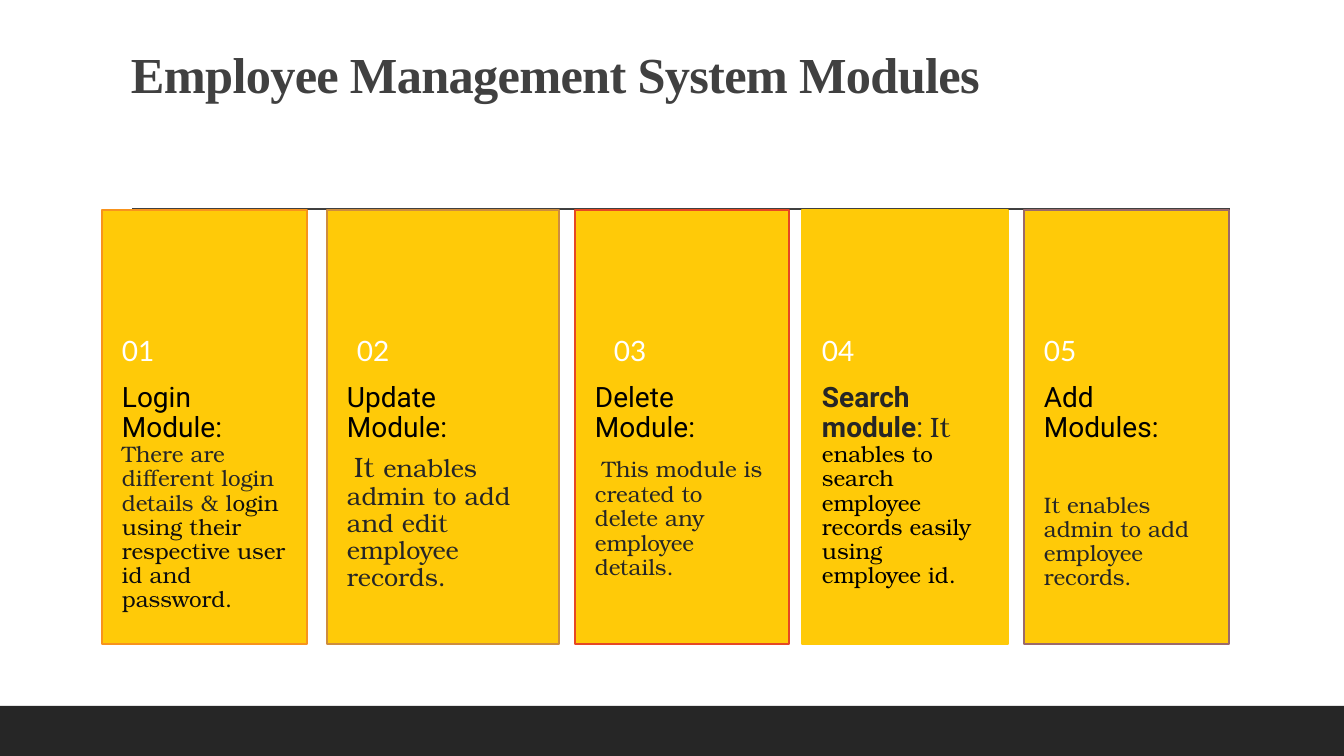
from lxml import etree
from pptx import Presentation
from pptx.dml.color import RGBColor
from pptx.enum.shapes import MSO_CONNECTOR, MSO_SHAPE
from pptx.enum.text import MSO_ANCHOR, MSO_AUTO_SIZE, PP_ALIGN
from pptx.oxml.ns import qn
from pptx.util import Emu, Pt

RECTANGLE = MSO_SHAPE.RECTANGLE
STRAIGHT = MSO_CONNECTOR.STRAIGHT
TOP, MIDDLE, BOTTOM = MSO_ANCHOR.TOP, MSO_ANCHOR.MIDDLE, MSO_ANCHOR.BOTTOM
LEFT = PP_ALIGN.LEFT
NO_AUTOFIT = MSO_AUTO_SIZE.NONE

WHITE = RGBColor(0xFF, 0xFF, 0xFF)
BLACK = RGBColor(0x00, 0x00, 0x00)
INK = RGBColor(0x0D, 0x0D, 0x0D)
CHARCOAL = RGBColor(0x26, 0x26, 0x26)
GRAY = RGBColor(0x40, 0x40, 0x40)
YELLOW = RGBColor(0xFF, 0xCA, 0x08)
ORANGE = RGBColor(0xF8, 0x93, 0x1D)
BRONZE = RGBColor(0xCE, 0x8D, 0x3E)
RED = RGBColor(0xE6, 0x48, 0x23)
MAUVE = RGBColor(0x9C, 0x6A, 0x6A)

LATO, ROBOTO, SERIF = "Lato", "Roboto", "TeX Gyre Bonum"
TITLE_FONT = "Times New Roman"

TITLE = "Employee Management System Modules"
# Each card: number, left, width, number offset, border, gap after heading (pt),
# paragraphs of (text, font, size, colour, bold)
CARDS = [
    ("01", 102, 205, 0, ORANGE, 7, [
        [("Login Module: ", ROBOTO, 20, BLACK, False),
         ("There are different login details & l", SERIF, 16, CHARCOAL, False),
         ("ogin using their respective user id and password.", SERIF, 16, INK, False)]]),
    ("02", 327, 232, 10, BRONZE, 7, [
        [("Update Module:", ROBOTO, 20, BLACK, False)],
        [(" ", LATO, 20, BLACK, False),
         ("It ", SERIF, 20, CHARCOAL, False),
         ("enables admin to add and edit employee records.", SERIF, 18, CHARCOAL, False)]]),
    ("03", 575, 214, 19, RED, 7, [
        [("Delete Module:", ROBOTO, 20, BLACK, False)],
        [(" ", TITLE_FONT, 20, BLACK, False),
         ("This module is created to delete any employee details.",
          SERIF, 16, CHARCOAL, False)]]),
    ("04", 802, 206, 0, YELLOW, 7, [
        [("Search module", ROBOTO, 20, CHARCOAL, True),
         (": ", ROBOTO, 20, CHARCOAL, False),
         ("It ", SERIF, 20, CHARCOAL, False),
         ("enables to search employee records easily using employee id.",
          SERIF, 16, BLACK, False)]]),
    ("05", 1024, 205, 0, MAUVE, 36, [
        [("Add Modules:", ROBOTO, 20, BLACK, False)],
        [("It enables admin to add employee records.", SERIF, 16, CHARCOAL, False)]]),
]

PAGE_WIDTH, PAGE_HEIGHT = 1344, 756
CARD_TOP, CARD_HEIGHT = 210, 434
BODY_TOP, BODY_HEIGHT = 383, 260
NUMBER_TOP, NUMBER_WIDTH, NUMBER_HEIGHT = 303, 205, 99
BAND_HEIGHT = 50
SIDE, NUMBER_INSET, BODY_BOTTOM = 20, 18, 36


def px(length):
    return Emu(round(length * 914400 / 100.8))


def add_box(page, left, top, width, height, fill, border=None):
    box = page.shapes.add_shape(RECTANGLE, px(left), px(top), px(width), px(height))
    box.shadow.inherit = False
    box.fill.solid()
    box.fill.fore_color.rgb = fill
    if border is None:
        box.line.fill.background()
    else:
        box.line.color.rgb = border
        box.line.width = Pt(1.25)


def set_frame(frame, anchor, left, top, right, bottom):
    frame.word_wrap = True
    frame.auto_size = NO_AUTOFIT
    frame.vertical_anchor = anchor
    frame.margin_left, frame.margin_top = px(left), px(top)
    frame.margin_right, frame.margin_bottom = px(right), px(bottom)


def style(span, font, size, colour, bold):
    span.font.name = font
    span.font.size = Pt(size)
    span.font.color.rgb = colour
    span.font.bold = bold


def add_text(page, area, anchor, insets, paragraphs, gap):
    frame = page.shapes.add_textbox(*map(px, area)).text_frame
    set_frame(frame, anchor, *insets)
    for index, spans in enumerate(paragraphs):
        para = frame.add_paragraph() if index else frame.paragraphs[0]
        para.line_spacing = 0.9
        para.space_after = Pt(gap)
        for text, *look in spans:
            span = para.add_run()
            span.text = text
            style(span, *look)


def add_rule(page, left, right, y):
    rule = page.shapes.add_connector(STRAIGHT, px(left), px(y), px(right), px(y))
    rule.line.color.rgb = GRAY
    rule.line.width = Pt(1)
    etree.SubElement(rule._element.spPr, qn("a:effectLst"))


def set_title(page):
    title = page.shapes.title
    title.left, title.top, title.width, title.height = map(px, (121, 33, 1109, 76))
    title.text_frame.text = TITLE
    set_frame(title.text_frame, BOTTOM, 10, 5, 10, 5)
    para = title.text_frame.paragraphs[0]
    para.alignment = LEFT
    para.line_spacing = 0.9
    span = para.runs[0]
    style(span, TITLE_FONT, 36, GRAY, True)
    span.font._element.set("spc", "-50")


def add_card(page, number, left, width, offset, border, gap, paragraphs):
    add_box(page, left, CARD_TOP, width, CARD_HEIGHT, YELLOW, border)
    add_text(page, (left, BODY_TOP, width, BODY_HEIGHT), TOP,
             (SIDE, 0, SIDE, BODY_BOTTOM), paragraphs, gap)
    add_text(page, (left + offset, NUMBER_TOP, NUMBER_WIDTH, NUMBER_HEIGHT), MIDDLE,
             (SIDE, NUMBER_INSET, SIDE, NUMBER_INSET),
             [[(number, LATO, 20, WHITE, False)]], 7)


def main():
    deck = Presentation()
    deck.slide_width, deck.slide_height = px(PAGE_WIDTH), px(PAGE_HEIGHT)
    page = deck.slides.add_slide(deck.slide_layouts[5])
    add_box(page, 0, PAGE_HEIGHT - BAND_HEIGHT, PAGE_WIDTH, BAND_HEIGHT, CHARCOAL)
    add_rule(page, 132, 1230, 209)
    set_title(page)
    for card in CARDS:
        add_card(page, *card)
    deck.save("out.pptx")


if __name__ == "__main__":
    main()
